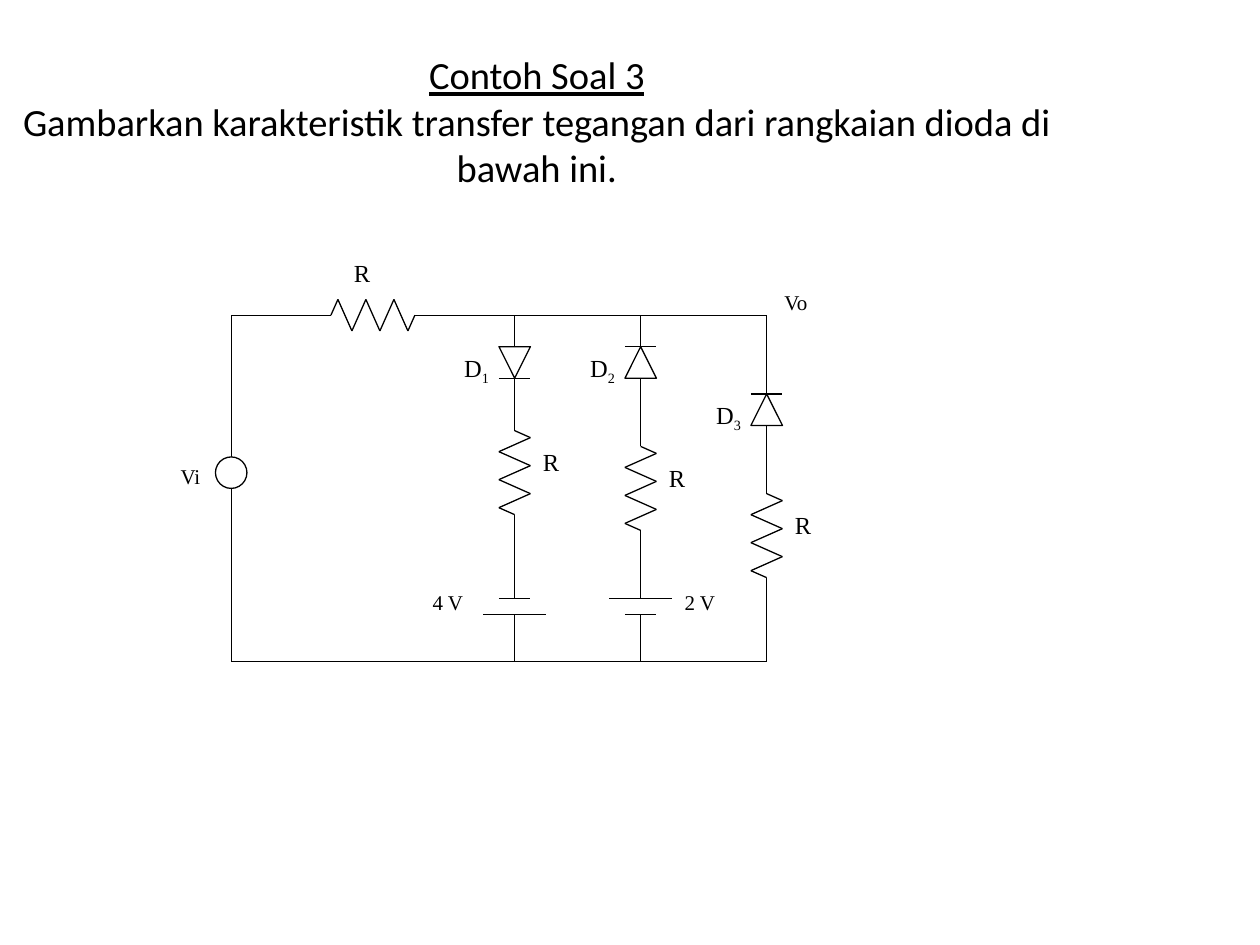
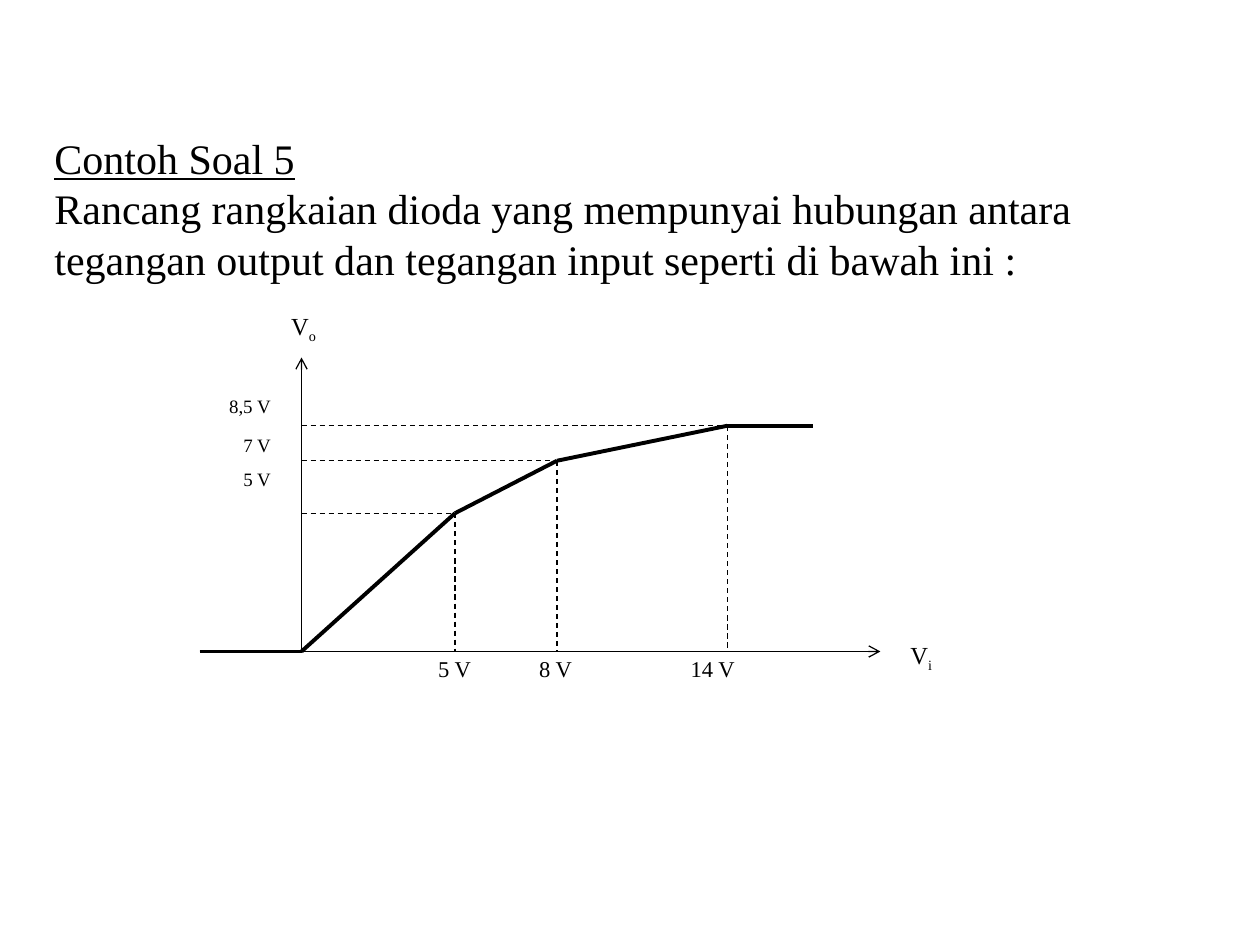
from itertools import pairwise

from lxml import etree
from pptx import Presentation
from pptx.dml.color import RGBColor
from pptx.enum import dml, shapes, text
from pptx.oxml import ns
from pptx.util import Pt

INK = {"line": "000000", "text": "000000", "fill": "FFFFFF"}
SERIF = "Times New Roman"
SANS = "Calibri"
HALF = 9
RISE = 48
LEAD = 12
LEFT = text.PP_ALIGN.LEFT
RIGHT = text.PP_ALIGN.RIGHT
CENTER = text.PP_ALIGN.CENTER


def color(name):
    return RGBColor.from_string(INK[name])


def pen(line, width=0.75):
    line.color.rgb = color("line")
    line.width = Pt(width)


def style(para, size, font=SERIF):
    para.font.name = font
    para.font.size = Pt(size)
    para.font.color.rgb = color("text")


def wire(slide, start, end, width=0.75, dash=False, arrow=False):
    link = slide.shapes.add_connector(
        shapes.MSO_CONNECTOR.STRAIGHT, *map(Pt, (*start, *end)))
    pen(link.line, width)
    if dash:
        link.line.dash_style = dml.MSO_LINE.DASH
    if arrow:
        etree.SubElement(link.line._get_or_add_ln(), ns.qn("a:tailEnd"), type="arrow")
    etree.SubElement(link._element.spPr, ns.qn("a:effectLst"))


def symbol(slide, kind, x, y):
    part = slide.shapes.add_shape(kind, Pt(x), Pt(y), Pt(2 * HALF), Pt(2 * HALF))
    part.shadow.inherit = False
    part.fill.background()
    pen(part.line)
    return part


def frame(slide, x, y, w, h):
    box = slide.shapes.add_textbox(*map(Pt, (x, y, w, h))).text_frame
    box.word_wrap = True
    return box


def label(slide, x, y, words, size=14, sub="", w=40, h=27):
    para = frame(slide, x, y, w, h).paragraphs[0]
    para.add_run().text = words
    if sub:
        low = para.add_run()
        low.text = sub
        low._r.get_or_add_rPr().set("baseline", "-25000")
    style(para, size)


def heading(slide, box, lines, font, size, align, anchor):
    title = slide.shapes.title
    title.left, title.top, title.width, title.height = map(Pt, box)
    body = title.text_frame
    body.word_wrap = True
    body.auto_size = text.MSO_AUTO_SIZE.NONE
    body.vertical_anchor = anchor
    body.text = "\n".join(lines)
    for index, para in enumerate(body.paragraphs):
        para.alignment = align
        style(para, size, font)
        para.font.underline = index == 0


def zigzag(slide, x, y, upright=True):
    peaks = [(4 + 8 * i, HALF * (-1) ** i) for i in range(6)]
    steps = [(-LEAD, 0), (0, 0), *peaks, (RISE, 0), (RISE + LEAD, 0)]
    if upright:
        path = [(x + side, y + along) for along, side in steps]
    else:
        path = [(x + along, y - side) for along, side in steps]
    for start, end in pairwise(path):
        wire(slide, start, end)


def bar(slide, x, y, half=HALF):
    wire(slide, (x - half, y), (x + half, y))


def diode(slide, x, y, down, sub):
    part = symbol(slide, shapes.MSO_SHAPE.ISOSCELES_TRIANGLE, x - HALF, y)
    if down:
        part._element.spPr.get_or_add_xfrm().set("flipV", "1")
    bar(slide, x, y)
    bar(slide, x, y + 2 * HALF)
    label(slide, x - 36, y, "D", sub=sub, w=36)


def branch(slide, x, top, low, number, gate, coil, down=False, cell=None):
    diode(slide, x, top + gate, down, number)
    zigzag(slide, x, top + coil)
    label(slide, x + HALF, top + coil + 6, "R")
    base = low - top
    foot = coil + RISE + LEAD
    spans = [(gate - 18, gate), (gate + 18, gate + 36), (coil - 21, coil - 3),
             (foot, foot + 9)]
    if gate > 18:
        spans.append((0, gate - 9))
    if cell:
        volts, shift, halves = cell
        plates = (162, 171)
        for y, half in zip(plates, halves):
            bar(slide, x, top + y, half)
        label(slide, x + shift, top + 153, volts, 12)
        spans += [(foot + 9, plates[0]), (plates[1], base)]
    else:
        spans.append((foot + 9, base))
    for start, end in spans:
        wire(slide, (x, top + start), (x, top + end))


def circuit(slide, x, y, w, h):
    low, right, mid, coil = y + h, x + w, y + 90, x + 57
    wire(slide, (x, y), (x + 54, y))
    zigzag(slide, coil, y, upright=False)
    label(slide, coil + 6, y - 36, "R")
    wire(slide, (coil + RISE + LEAD, y), (right, y))
    wire(slide, (x, low), (right, low))
    for start, end in ((0, 54), (54, 81), (99, 126), (126, h)):
        wire(slide, (x, y + start), (x, y + end))
    source = symbol(slide, shapes.MSO_SHAPE.OVAL, x - HALF, mid - HALF)
    source.fill.solid()
    source.fill.fore_color.rgb = color("fill")
    label(slide, x - 36, mid - HALF, "Vi", 12, w=30)
    label(slide, right + 3, y - 18, "Vo", 12)
    branch(slide, right - 144, y, low, "1", 18, 66, True, ("4 V", -54, (9, 18)))
    branch(slide, right - 72, y, low, "2", 18, 75, False, ("2 V", 18, (18, 9)))
    branch(slide, right, y, low, "3", 45, 102)


def levels(slide, x, y):
    box = frame(slide, x - 60.5, y, 50, 79)
    box.text = "8,5 V\n7 V\n5 V"
    for para, gap in zip(box.paragraphs, (0, 11.9, 9.3)):
        para.alignment = RIGHT
        para.line_spacing = 0.8
        para.space_before = Pt(gap)
        style(para, 10.8)


def ticks(slide, x, y):
    para = frame(slide, x, y, 214, 30).paragraphs[0]
    para.text = "5 V\t8 V\t14 V"
    para.line_spacing = 0.9
    tabs = etree.SubElement(para._p.get_or_add_pPr(), ns.qn("a:tabLst"))
    for stop in (57.7, 144.3):
        etree.SubElement(tabs, ns.qn("a:tab"), pos=str(Pt(stop)), algn="l")
    style(para, 12.9)


def graph(slide, x, y, w, h):
    low, zero = y + h, x + 58.2
    bends = [(zero + a, low - b) for a, b in ((87.7, 79), (146, 109), (243.3, 129))]
    wire(slide, (x, low), (x + w, low), arrow=True)
    wire(slide, (zero, low), (zero, y), arrow=True)
    for a, b in bends:
        wire(slide, (zero, b), (a, b), dash=True)
        wire(slide, (a, b), (a, low), dash=True)
    curve = [(x, low), (zero, low), *bends, (zero + 292, bends[-1][1])]
    for start, end in pairwise(curve):
        wire(slide, start, end, 2.25)
    label(slide, zero - 13, y - 30, "V", sub="o", w=49)
    label(slide, x + w + 10, low - 10, "V", sub="i")
    levels(slide, zero, y + 20)
    ticks(slide, zero + 71, low)


def main():
    deck = Presentation()
    deck.slide_width, deck.slide_height = Pt(720), Pt(540)
    first, second = (deck.slides.add_slide(deck.slide_layouts[5]) for _ in range(2))
    heading(first, (0, 24, 613.5, 90), [
        "Contoh Soal 3",
        "Gambarkan karakteristik transfer tegangan dari rangkaian dioda di bawah ini.",
    ], SANS, 22, CENTER, text.MSO_ANCHOR.MIDDLE)
    circuit(first, 132.1, 180.1, 306, 198)
    heading(second, (23.9, 72, 684, 122), [
        "Contoh Soal 5",
        "Rancang rangkaian dioda yang mempunyai hubungan antara tegangan output "
        "dan tegangan input seperti di bawah ini :",
    ], SERIF, 24, LEFT, text.MSO_ANCHOR.TOP)
    graph(second, 114.1, 204.3, 389, 168)
    deck.save("out.pptx")


if __name__ == "__main__":
    main()
